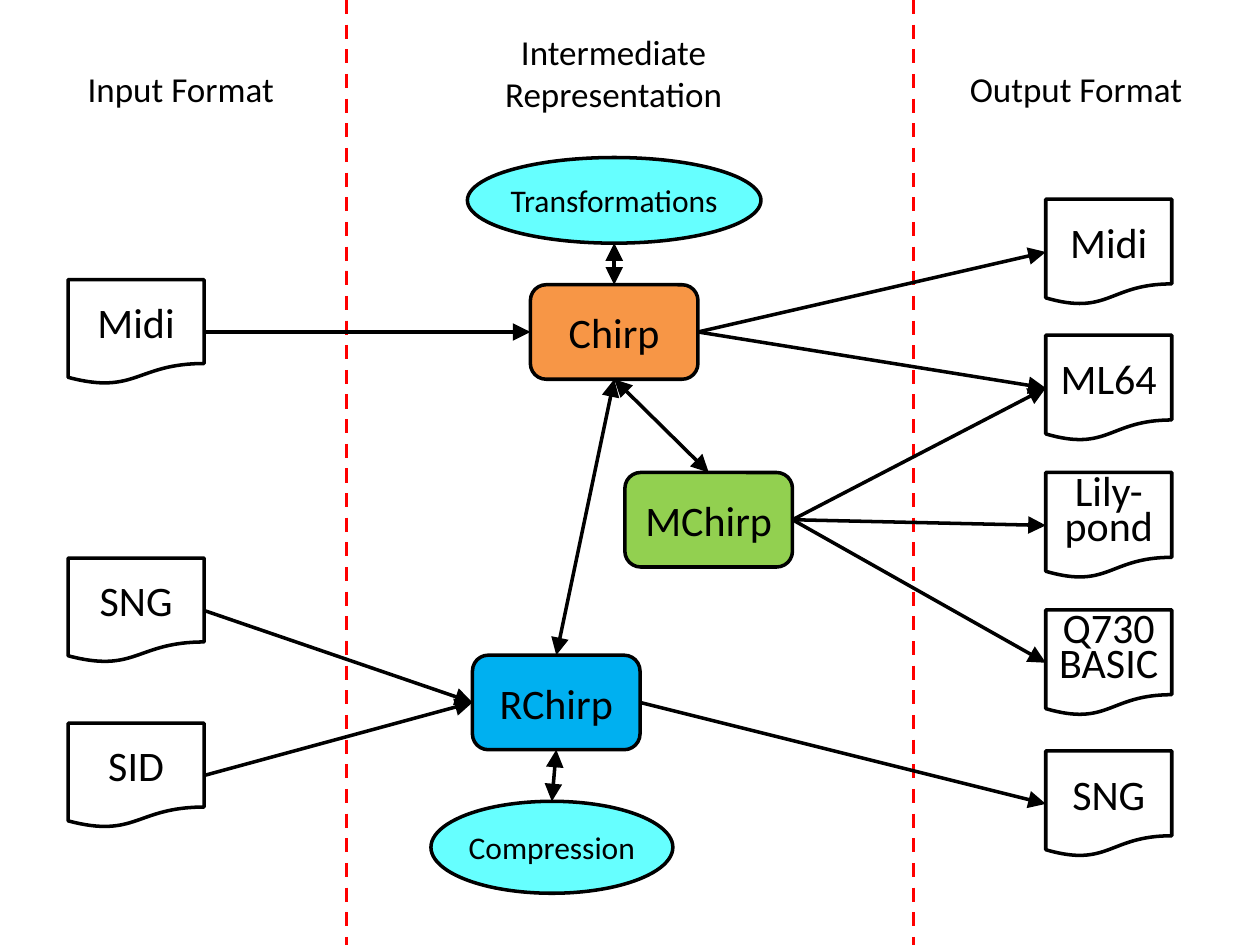
from lxml.etree import SubElement
from pptx import Presentation
from pptx.dml.color import RGBColor
from pptx.enum.dml import MSO_LINE
from pptx.enum.shapes import MSO_CONNECTOR, MSO_SHAPE
from pptx.enum.text import MSO_ANCHOR, PP_ALIGN
from pptx.oxml.ns import qn
from pptx.util import Inches, Pt

BLACK, WHITE, RED, CYAN = "000000", "FFFFFF", "FF0000", "66FFFF"
TOP, LEFT, BOTTOM, RIGHT = range(4)


def color(value):
    return RGBColor.from_string(value)


def apply(target, formats):
    for name, value in formats.items():
        setattr(target, name, value)


def write_lines(para, text, size):
    para.alignment = PP_ALIGN.CENTER
    for index, line in enumerate(text.splitlines()):
        if index:
            para.add_line_break()
        span = para.add_run()
        span.text = line
        apply(span.font, {"name": "Calibri", "size": Pt(size)})
        span.font.color.rgb = color(BLACK)


def add_node(page, kind, box, text, fill, size=24, spacing=None, margin=0.1):
    node = page.shapes.add_shape(kind, *map(Inches, box))
    node.shadow.inherit = False
    node.fill.solid()
    node.fill.fore_color.rgb = color(fill)
    node.line.color.rgb = color(BLACK)
    node.line.width = Pt(2)
    apply(node.text_frame, {
        "word_wrap": True,
        "vertical_anchor": MSO_ANCHOR.MIDDLE,
        "margin_left": Inches(margin),
        "margin_right": Inches(margin),
    })
    para = node.text_frame.paragraphs[0]
    if spacing:
        para.line_spacing = Pt(spacing)
    write_lines(para, text, size)
    return node


def add_line(page, start, end, shade):
    line = page.shapes.add_connector(MSO_CONNECTOR.STRAIGHT, *start, *end)
    line.line.color.rgb = color(shade)
    line.line.width = Pt(2)
    SubElement(line.element.spPr, qn("a:effectLst"))
    return line


def side_point(node, side):
    across, down = {TOP: (1, 0), LEFT: (0, 1), BOTTOM: (1, 2), RIGHT: (2, 1)}[side]
    return node.left + node.width * across // 2, node.top + node.height * down // 2


def add_arrow(page, start, start_side, end, end_side, both=False):
    arrow = add_line(page, side_point(start, start_side), side_point(end, end_side), BLACK)
    if start.auto_shape_type != MSO_SHAPE.OVAL:
        arrow.begin_connect(start, start_side)
    if end.auto_shape_type != MSO_SHAPE.OVAL:
        arrow.end_connect(end, end_side)
    outline = arrow.element.spPr.find(qn("a:ln"))
    for tag in ("a:headEnd", "a:tailEnd") if both else ("a:tailEnd",):
        SubElement(outline, qn(tag), type="triangle", w="lg", len="lg")


def add_heading(page, box, text):
    heading = page.shapes.add_textbox(*map(Inches, box))
    frame = heading.text_frame
    frame.word_wrap = False
    for index, line in enumerate(text.splitlines()):
        para = frame.add_paragraph() if index else frame.paragraphs[0]
        write_lines(para, line, 20)


def add_dividers(page, box):
    left, top, width, height = box
    for x in (left, left + width):
        divider = add_line(page, (Inches(x), Inches(top)),
                           (Inches(x), Inches(top + height)), RED)
        divider.line.dash_style = MSO_LINE.DASH


def add_inputs(page, box):
    left, top, width, height = box
    add_heading(page, (left + 0.05, top, 1.69, 0.44), "Input Format")
    return {
        text: add_node(page, MSO_SHAPE.FLOWCHART_DOCUMENT,
                       (left, top + offset, width, height), text, WHITE)
        for text, offset in (("Midi", 1.73), ("SNG", 3.94), ("SID", 5.25))
    }


def add_representations(page, box):
    left, top, width, height = box
    add_heading(page, (left + 0.48, top, 1.94, 0.77), "Intermediate\nRepresentation")
    nodes = {
        text: add_node(page, MSO_SHAPE.ROUNDED_RECTANGLE,
                       (left + x, top + y, width, height), text, fill)
        for text, x, y, fill in (
            ("Chirp", 0.79, 2.07, "F79646"),
            ("MChirp", 1.54, 3.56, "92D050"),
            ("RChirp", 0.33, 5.01, "00B0F0"),
        )
    }
    for text, x, y, oval_width, oval_height in (
        ("Transformations", 0.29, 1.06, 2.33, 0.68),
        ("Compression", 0, 6.17, 1.92, 0.73),
    ):
        nodes[text] = add_node(page, MSO_SHAPE.OVAL,
                               (left + x, top + y, oval_width, oval_height),
                               text, CYAN, size=18, margin=0)
    for start, end in (("Transformations", "Chirp"), ("Chirp", "MChirp"),
                       ("Chirp", "RChirp"), ("RChirp", "Compression")):
        add_arrow(page, nodes[start], BOTTOM, nodes[end], TOP, both=True)
    return nodes


def add_outputs(page, box):
    left, top, width, height = box
    add_heading(page, (left - 0.71, top, 1.9, 0.44), "Output Format")
    return {
        name: add_node(page, MSO_SHAPE.FLOWCHART_DOCUMENT,
                       (left, top + offset, width, height), text, WHITE, spacing=spacing)
        for name, text, offset, spacing in (
            ("Midi", "Midi", 1.09, None),
            ("ML64", "ML64", 2.17, None),
            ("Lilypond", "Lily-pond", 3.26, 20),
            ("BASIC", "Q730\nBASIC", 4.35, 20),
            ("SNG", "SNG", 5.47, None),
        )
    }


def main():
    deck = Presentation()
    deck.slide_width, deck.slide_height = Inches(10), Inches(7.5)
    page = deck.slides.add_slide(deck.slide_layouts[6])
    add_dividers(page, (2.75, 0, 4.5, 7.5))
    inputs = add_inputs(page, (0.54, 0.49, 1.08, 0.83))
    middle = add_representations(page, (3.42, 0.19, 1.33, 0.75))
    outputs = add_outputs(page, (8.3, 0.49, 1, 0.84))
    for source, target in (("Midi", "Chirp"), ("SNG", "RChirp"), ("SID", "RChirp")):
        add_arrow(page, inputs[source], RIGHT, middle[target], LEFT)
    for source, target in (("Chirp", "Midi"), ("Chirp", "ML64"), ("MChirp", "ML64"),
                           ("MChirp", "Lilypond"), ("MChirp", "BASIC"), ("RChirp", "SNG")):
        add_arrow(page, middle[source], RIGHT, outputs[target], LEFT)
    deck.save("out.pptx")


if __name__ == "__main__":
    main()
